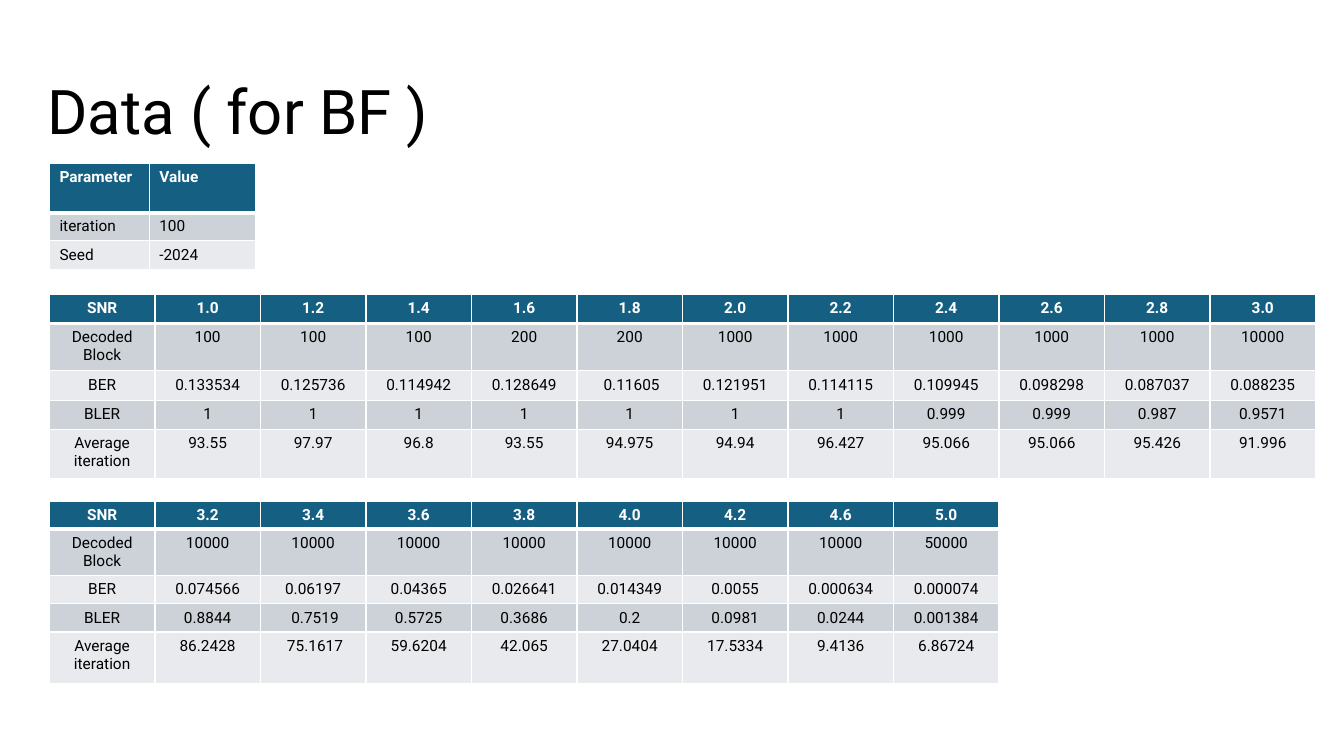
from lxml import etree
from pptx import Presentation
from pptx.dml.color import RGBColor
from pptx.enum.text import MSO_ANCHOR, PP_ALIGN
from pptx.oxml.ns import qn
from pptx.util import Inches, Pt

LEFT, CENTER = PP_ALIGN.LEFT, PP_ALIGN.CENTER
MIDDLE = MSO_ANCHOR.MIDDLE
FONT = "Roboto"
COLORS = {
    "text": "000000",
    "header": "156082",
    "header_text": "FFFFFF",
    "border": "FFFFFF",
    "odd_row": "CCD2D8",
    "even_row": "E8EAED",
}
TABLE_LEFT = 0.49

PARAMETERS = [
    ["Parameter", "Value"],
    ["iteration", "100"],
    ["Seed", "-2024"],
]
LOW_SNR = [
    ["SNR", "1.0", "1.2", "1.4", "1.6", "1.8", "2.0", "2.2", "2.4", "2.6", "2.8", "3.0"],
    ["Decoded Block", "100", "100", "100", "200", "200", "1000", "1000", "1000", "1000",
     "1000", "10000"],
    ["BER", "0.133534", "0.125736", "0.114942", "0.128649", " 0.11605", "0.121951",
     "0.114115", "0.109945", "0.098298", "0.087037", "0.088235"],
    ["BLER", "1", "1", "1", "1", "1", "1", "1", "0.999", "0.999", "0.987", "0.9571"],
    ["Average iteration", "93.55", "97.97", "96.8", "93.55", "94.975", "94.94", "96.427",
     "95.066", "95.066", "95.426", "91.996"],
]
HIGH_SNR = [
    ["SNR", "3.2", "3.4", "3.6", "3.8", "4.0", "4.2", "4.6", "5.0"],
    ["Decoded Block", "10000", "10000", "10000", "10000", "10000", "10000", "10000", "50000"],
    ["BER", "0.074566", "0.06197", "0.04365", "0.026641", "0.014349", "0.0055", "0.000634",
     "0.000074"],
    ["BLER", "0.8844", " 0.7519", "0.5725", "0.3686", "0.2", "0.0981", "0.0244", "0.001384"],
    ["Average iteration", "86.2428", " 75.1617", "59.6204", "42.065", "27.0404", "17.5334",
     "9.4136", "6.86724"],
]


def rgb(name):
    return RGBColor.from_string(COLORS[name])


def format_run(run, size, color, bold=False):
    run.font.name = FONT
    run.font.size = Pt(size)
    run.font.bold = bold
    run.font.color.rgb = rgb(color)


def add_borders(cell, row):
    widths = {"a:lnL": 1, "a:lnR": 1, "a:lnT": 3 if row == 1 else 1, "a:lnB": 3 if row == 0 else 1}
    properties = cell._tc.get_or_add_tcPr()
    for side, width in widths.items():
        line = etree.SubElement(properties, qn(side), w=str(Pt(width)))
        fill = etree.SubElement(line, qn("a:solidFill"))
        etree.SubElement(fill, qn("a:srgbClr"), val=COLORS["border"])


def fill_cell(cell, value, row, align):
    is_header = row == 0
    add_borders(cell, row)
    cell.fill.solid()
    cell.fill.fore_color.rgb = rgb("header" if is_header else "odd_row" if row % 2 else "even_row")
    cell.text_frame.text = value
    paragraph = cell.text_frame.paragraphs[0]
    paragraph.alignment = align
    format_run(paragraph.runs[0], 11, "header_text" if is_header else "text", is_header)


def add_data_table(slide, top, values, column_widths, row_heights, align=CENTER):
    table = slide.shapes.add_table(
        len(values), len(column_widths), Inches(TABLE_LEFT), Inches(top),
        Inches(sum(column_widths)), Inches(sum(row_heights))).table
    for column, width in zip(table.columns, column_widths):
        column.width = Inches(width)
    for row, (cells, height) in enumerate(zip(values, row_heights)):
        table.rows[row].height = Inches(height)
        for column, value in enumerate(cells):
            fill_cell(table.cell(row, column), value, row, align)


def add_title(slide, left, top, width, height):
    title = slide.shapes.title
    title.left, title.top = Inches(left), Inches(top)
    title.width, title.height = Inches(width), Inches(height)
    title.text_frame.text = "Data ( for BF )"
    title.text_frame.vertical_anchor = MIDDLE
    paragraph = title.text_frame.paragraphs[0]
    paragraph.alignment = LEFT
    paragraph.line_spacing = 0.9
    format_run(paragraph.runs[0], 44, "text")


def main():
    presentation = Presentation()
    presentation.slide_width = Inches(13.33)
    presentation.slide_height = Inches(7.5)
    slide = presentation.slides.add_slide(presentation.slide_layouts[5])
    add_title(slide, 0.37, 0.41, 11.5, 1.45)
    add_data_table(slide, 1.62, PARAMETERS, [0.99, 1.06], [0.49, 0.28, 0.28], LEFT)
    add_data_table(slide, 2.92, LOW_SNR, [12.56 / 12] * 12, [0.29, 0.47, 0.29, 0.29, 0.49])
    add_data_table(slide, 4.97, HIGH_SNR, [9.42 / 9] * 9, [0.28, 0.46, 0.28, 0.28, 0.51])
    presentation.save("out.pptx")


if __name__ == "__main__":
    main()
